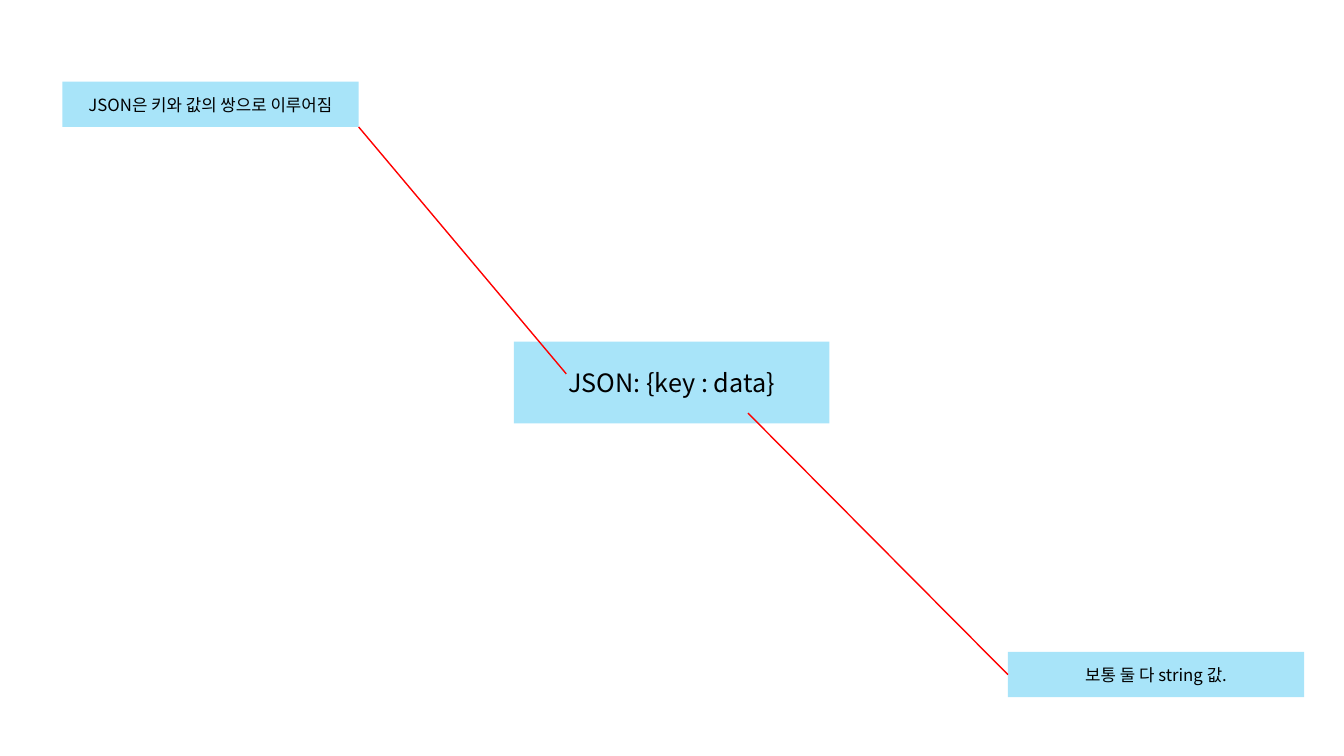
import pptx
import pptx.dml.color
import pptx.enum.shapes
import pptx.enum.text
import pptx.oxml
import pptx.oxml.ns
import pptx.util
from lxml import etree

Cm = pptx.util.Cm
Pt = pptx.util.Pt
qn = pptx.oxml.ns.qn
RGB = pptx.dml.color.RGBColor.from_string

FONT = "Noto Sans CJK KR"
COLORS = {"box": "00B0F0", "line": "FF0000", "text": "000000"}
ALPHA = 34  # percent opacity of the boxes

# Boxes as left, top, width, height in cm
WIDE, HIGH = 7.47, 1.14
MAIN = (12.95, 8.61, 7.95, 2.06)
PAIR = (1.57, 2.06, WIDE, HIGH)
TYPE = (25.4, 16.43, WIDE, HIGH)


def add_box(slide, box, text, size):
    """Translucent box with centred text."""
    shape = slide.shapes.add_shape(
        pptx.enum.shapes.MSO_SHAPE.RECTANGLE, *map(Cm, box))
    shape.shadow.inherit = False
    shape.line.fill.background()
    shape.fill.solid()
    shape.fill.fore_color.rgb = RGB(COLORS["box"])
    tint = shape.fill._xPr.find(".//" + qn("a:srgbClr"))
    etree.SubElement(tint, qn("a:alpha"), val=str(ALPHA * 1000))

    frame = shape.text_frame
    frame.word_wrap = True
    frame.vertical_anchor = pptx.enum.text.MSO_ANCHOR.MIDDLE
    para = frame.paragraphs[0]
    para.text = text
    para.alignment = pptx.enum.text.PP_ALIGN.CENTER
    para.font.size = Pt(size)
    para.font.name = FONT
    para.font.color.rgb = RGB(COLORS["text"])
    # Hangul takes the East Asian typeface
    etree.SubElement(para.font._element, qn("a:ea"), typeface=FONT)
    return shape


def add_line(slide, start, end):
    """Red line between two points in cm."""
    line = slide.shapes.add_connector(
        pptx.enum.shapes.MSO_CONNECTOR.STRAIGHT, *map(Cm, start + end))
    line.line.color.rgb = RGB(COLORS["line"])
    line.line.width = Pt(1)
    etree.SubElement(line._element.spPr, qn("a:effectLst"))
    return line


def add_map(slide):
    """Main expression with a note on each part."""
    left, top, wide, high = MAIN
    add_box(slide, MAIN, "JSON: {key : data}", 18)
    add_box(slide, PAIR, "JSON은 키와 값의 쌍으로 이루어짐", 12)
    note = add_box(slide, TYPE, "보통 둘 다 string 값.", 12)

    # From the first note's corner to the start of the expression
    corner = (PAIR[0] + PAIR[2], PAIR[1] + PAIR[3])
    add_line(slide, corner, (left + 1.32, top + 0.81))

    # From the data part to the left side of the second note
    side = (TYPE[0], TYPE[1] + TYPE[3] / 2)
    line = add_line(slide, (left + 5.9, top + 1.8), side)
    line.end_connect(note, 1)


def main():
    deck = pptx.Presentation()
    deck.slide_width, deck.slide_height = Cm(33.87), Cm(19.05)
    add_map(deck.slides.add_slide(deck.slide_layouts[6]))
    deck.save("out.pptx")


if __name__ == "__main__":
    main()
